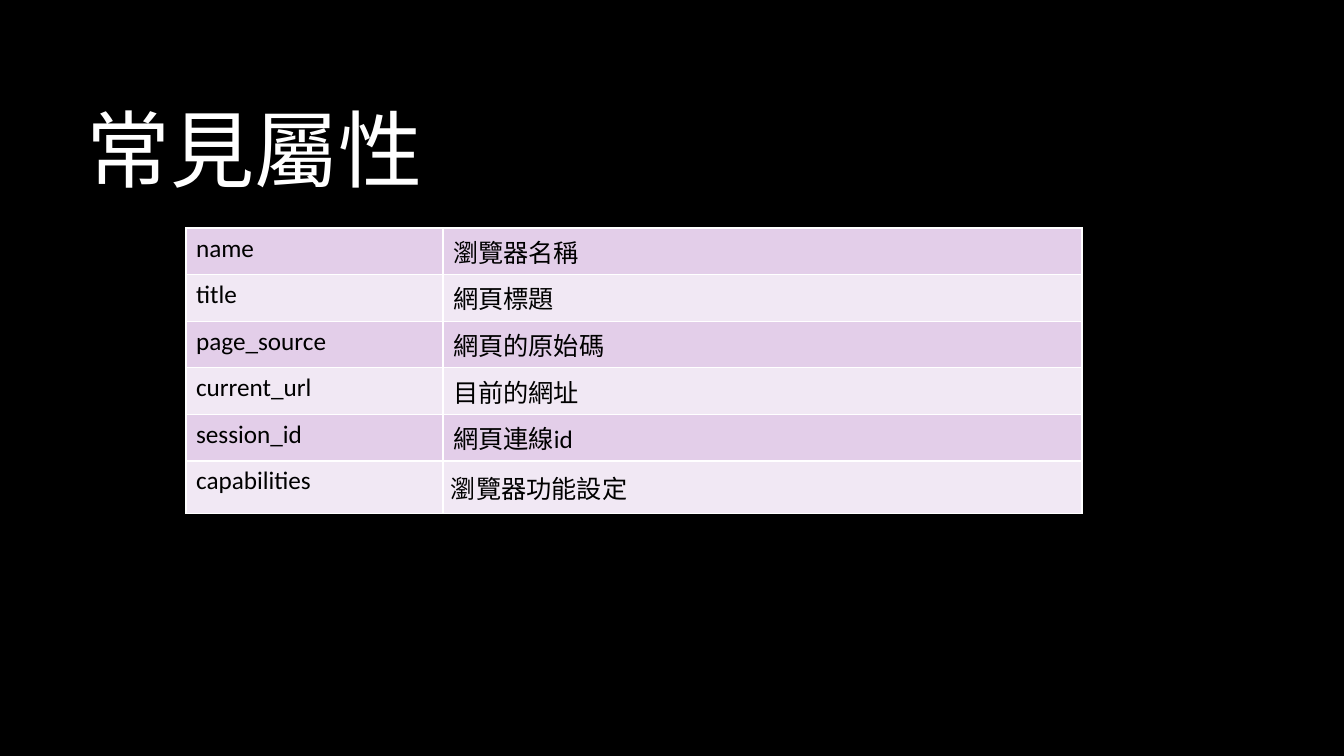
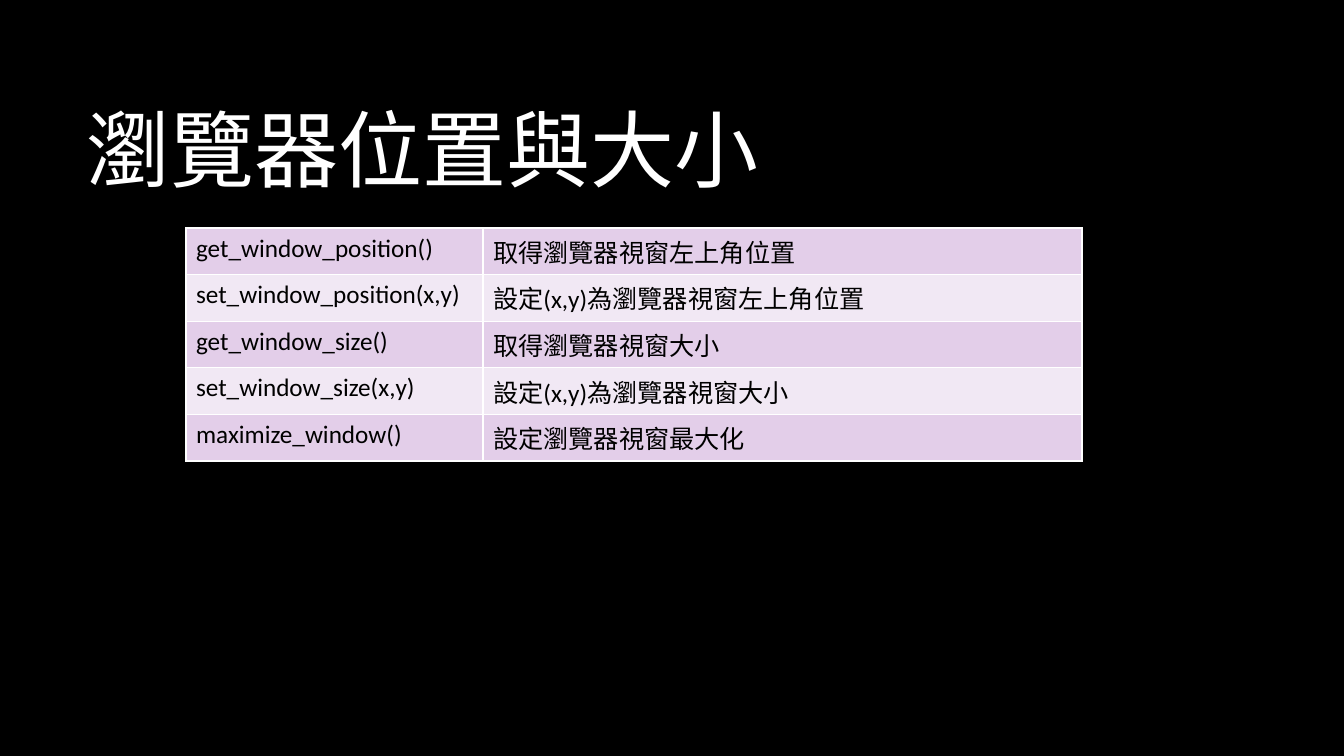
from lxml.etree import SubElement
from pptx import Presentation
from pptx.dml.color import RGBColor
from pptx.enum.text import MSO_ANCHOR, MSO_AUTO_SIZE, PP_ALIGN
from pptx.oxml.ns import qn
from pptx.util import Emu, Pt

BLACK = RGBColor(0x00, 0x00, 0x00)
WHITE = RGBColor(0xFF, 0xFF, 0xFF)
BANDS = [RGBColor(0xE3, 0xCE, 0xE9), RGBColor(0xF1, 0xE8, 0xF4)]
FONT = "Calibri"
TABLE_W = 896
ROW_H = 41

SLIDES = [
    ("常見屬性", 257, [
        ("name", "瀏覽器名稱"),
        ("title", "網頁標題"),
        ("page_source", "網頁的原始碼"),
        ("current_url", "目前的網址"),
        ("session_id", "網頁連線id"),
        ("capabilities", "瀏覽器功能設定"),
    ]),
    ("瀏覽器位置與大小", 297, [
        ("get_window_position()", "取得瀏覽器視窗左上角位置"),
        ("set_window_position(x,y)", "設定(x,y)為瀏覽器視窗左上角位置"),
        ("get_window_size()", "取得瀏覽器視窗大小"),
        ("set_window_size(x,y)", "設定(x,y)為瀏覽器視窗大小"),
        ("maximize_window()", "設定瀏覽器視窗最大化"),
    ]),
]


def px(n):
    return Emu(round(n * 12192000 / 1344))


def format_cell(cell, text, fill):
    p = cell.text_frame.paragraphs[0]
    p.text = text
    p.font.name = FONT
    p.font.size = Pt(18)
    p.font.color.rgb = BLACK
    tcPr = cell._tc.get_or_add_tcPr()
    for side in ("lnL", "lnR", "lnT", "lnB"):
        ln = SubElement(tcPr, qn(f"a:{side}"), w=str(Pt(1)))
        line_fill = SubElement(ln, qn("a:solidFill"))
        SubElement(line_fill, qn("a:srgbClr"), val=str(WHITE))
    cell.fill.solid()
    cell.fill.fore_color.rgb = fill


prs = Presentation()
prs.slide_width, prs.slide_height = px(1344), px(756)
bg = prs.slide_master.background.fill
bg.solid()
bg.fore_color.rgb = BLACK

for title, name_w, rows in SLIDES:
    s = prs.slides.add_slide(prs.slide_layouts[5])
    sp = s.shapes.title
    sp.left, sp.top, sp.width, sp.height = px(76), px(68), px(1117), px(160)
    tf = sp.text_frame
    tf.text = title
    tf.auto_size = MSO_AUTO_SIZE.NONE
    tf.vertical_anchor = MSO_ANCHOR.MIDDLE
    p = tf.paragraphs[0]
    p.alignment = PP_ALIGN.LEFT
    p.font.name = FONT
    p.font.size = Pt(60)
    p.font.color.rgb = WHITE

    table = s.shapes.add_table(len(rows), 2, px(186), px(228),
                               px(TABLE_W), px(ROW_H * len(rows))).table
    table.first_row = False
    table.horz_banding = False
    table.columns[0].width = px(name_w)
    table.columns[1].width = px(TABLE_W - name_w)
    for i, row in enumerate(rows):
        for j, text in enumerate(row):
            format_cell(table.cell(i, j), text, BANDS[i % 2])
        if row[0] == "capabilities":
            cell = table.cell(i, 1)
            cell.margin_left = cell.margin_right = px(8)
            cell.margin_top = cell.margin_bottom = px(8)

prs.save("out.pptx")
